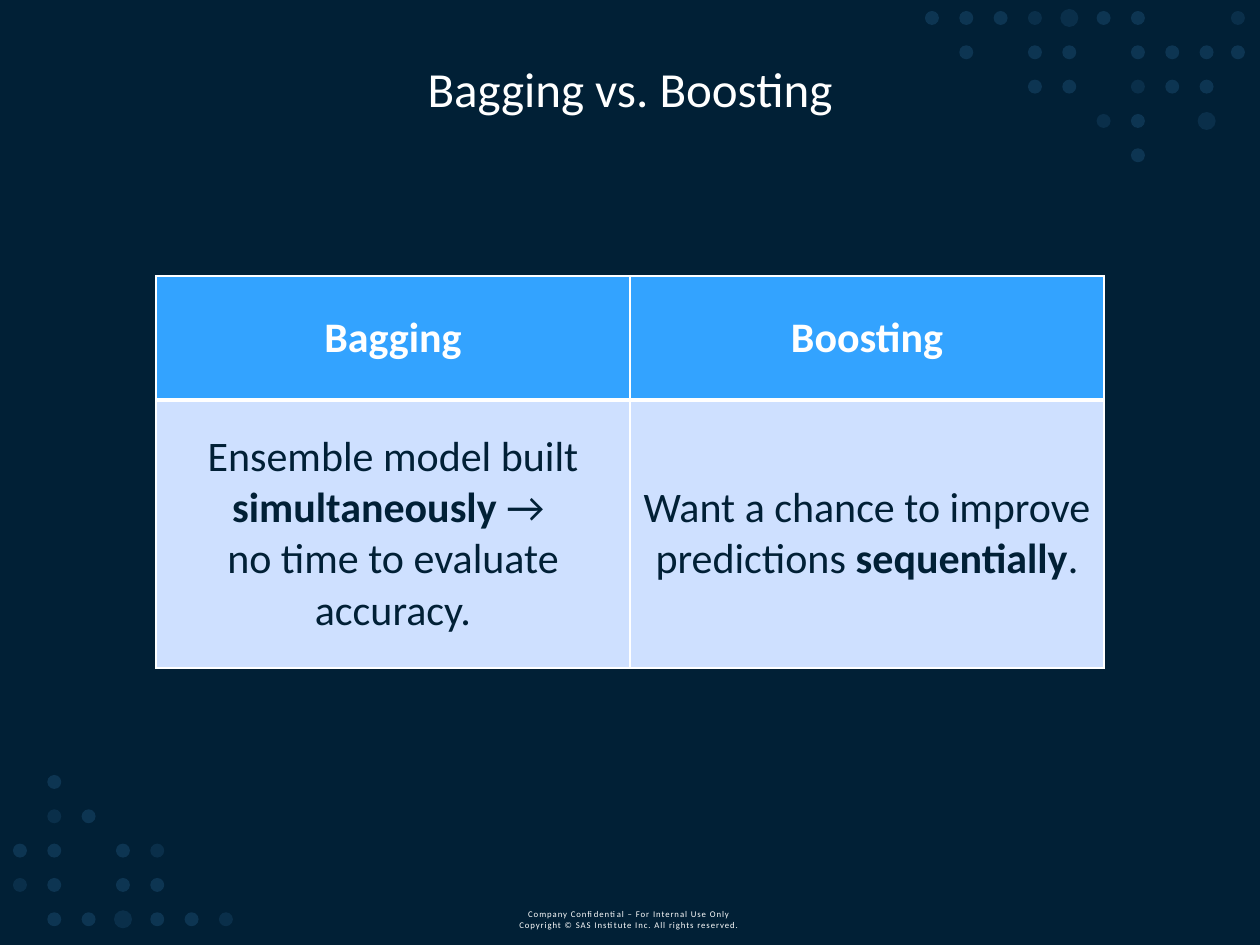
from lxml.etree import SubElement
from pptx import Presentation
from pptx.dml.color import RGBColor
from pptx.enum.shapes import MSO_SHAPE
from pptx.enum.text import MSO_ANCHOR, PP_ALIGN
from pptx.oxml.ns import qn
from pptx.util import Emu, Pt

EMU_PER_PX = 914400 / 126
FONT = "Calibri"
NAVY, WHITE, SKY = "012036", "FFFFFF", "5CB5FF"
HEADER_BLUE, BODY_BLUE = "33A3FF", "CEE0FF"

# Dot patterns: o = normal, . = faint, O = large and faint
DOT_PITCH = 34.33
DOT_STYLES = {"o": (14, 14), ".": (14, 10), "O": (18, 10)}  # diameter, opacity %
BOTTOM_LEFT_DOTS = [" o", " .o", "oo o.", ".o oo", " ooOoo."]
TOP_RIGHT_DOTS = ["ooo.Ooo", " o oo ooo", "   oo .oo", "     .o O", "      o"]
RIGHT_EDGE_DOTS = [".", "o"]

HEADERS = ["Bagging", "Boosting"]
# Each cell is a list of paragraphs, each paragraph a list of (text, bold)
DESCRIPTIONS = [
    [[("Ensemble model built ", False), ("simultaneously ", True), ("→ ", False)],
     [("no time to evaluate accuracy.", False)]],
    [[("Want a chance to improve predictions ", False), ("sequentially", True),
      (".", False)]],
]


def px(length):
    return Emu(round(length * EMU_PER_PX))


def rgb(color):
    return RGBColor.from_string(color)


def style_paragraph(paragraph, size, color):
    paragraph.alignment = PP_ALIGN.CENTER
    paragraph.font.name = FONT
    paragraph.font.size = Pt(size)
    paragraph.font.color.rgb = rgb(color)


def add_dots(slide, first_x, first_y, pattern):
    dots = slide.shapes.add_group_shape().shapes
    for row, marks in enumerate(pattern):
        for column, mark in enumerate(marks):
            if mark == " ":
                continue
            diameter, opacity = DOT_STYLES[mark]
            dot = dots.add_shape(
                MSO_SHAPE.OVAL,
                px(first_x + column * DOT_PITCH - diameter / 2),
                px(first_y + row * DOT_PITCH - diameter / 2),
                px(diameter), px(diameter))
            dot.shadow.inherit = False
            dot.line.fill.background()
            dot.fill.solid()
            dot.fill.fore_color.rgb = rgb(SKY)
            color = dot.fill._xPr.find(".//" + qn("a:srgbClr"))
            SubElement(color, qn("a:alpha"), val=str(opacity * 1000))


def add_label(slide, x, y, width, height, lines, size, anchor):
    frame = slide.shapes.add_textbox(px(x), px(y), px(width), px(height)).text_frame
    frame.word_wrap = True
    frame.vertical_anchor = anchor
    frame.text = "\n".join(lines)
    for paragraph in frame.paragraphs:
        style_paragraph(paragraph, size, WHITE)
    return frame


def set_borders(cell, bottom):
    properties = cell._tc.get_or_add_tcPr()
    for side, width in (("L", 1), ("R", 1), ("T", 1), ("B", bottom)):
        line = SubElement(properties, qn(f"a:ln{side}"), w=str(Pt(width)))
        fill = SubElement(line, qn("a:solidFill"))
        SubElement(fill, qn("a:srgbClr"), val=WHITE)


def fill_cell(cell, paragraphs, fill, color, bottom):
    set_borders(cell, bottom)
    cell.fill.solid()
    cell.fill.fore_color.rgb = rgb(fill)
    cell.vertical_anchor = MSO_ANCHOR.MIDDLE
    frame = cell.text_frame
    for index, runs in enumerate(paragraphs):
        paragraph = frame.add_paragraph() if index else frame.paragraphs[0]
        style_paragraph(paragraph, 24, color)
        for text, bold in runs:
            run = paragraph.add_run()
            run.text = text
            run.font.bold = bold


def add_comparison(slide):
    table = slide.shapes.add_table(2, 2, px(156), px(276), px(948), px(392)).table
    table.rows[0].height, table.rows[1].height = px(124), px(268)
    for column, (header, description) in enumerate(zip(HEADERS, DESCRIPTIONS)):
        fill_cell(table.cell(0, column), [[(header, True)]], HEADER_BLUE, WHITE, 3)
        fill_cell(table.cell(1, column), description, BODY_BLUE, NAVY, 1)
        # The rule under the header is shared by both rows
        top = table.cell(1, column)._tc.tcPr.find(qn("a:lnT"))
        top.set("w", str(Pt(3)))


def main():
    deck = Presentation()
    deck.slide_width, deck.slide_height = px(1260), px(945)
    slide = deck.slides.add_slide(deck.slide_layouts[6])
    slide.background.fill.solid()
    slide.background.fill.fore_color.rgb = rgb(NAVY)

    # Corner decoration
    add_dots(slide, 20, 782, BOTTOM_LEFT_DOTS)
    add_dots(slide, 932, 18, TOP_RIGHT_DOTS)
    add_dots(slide, 1238, 18, RIGHT_EDGE_DOTS)

    # Footer
    footer = add_label(
        slide, 456, 902, 346, 34,
        ["Company Confidential – For Internal Use Only",
         "Copyright © SAS Institute Inc. All rights reserved."],
        5, MSO_ANCHOR.BOTTOM)
    for paragraph in footer.paragraphs:
        for run in paragraph.runs:
            run.font._element.set("spc", "50")

    # Title
    title = add_label(slide, 87, 50, 1086, 84, ["Bagging vs. Boosting"],
                      28, MSO_ANCHOR.MIDDLE)
    title.paragraphs[0].line_spacing = 0.9

    add_comparison(slide)
    deck.save("out.pptx")


if __name__ == "__main__":
    main()
